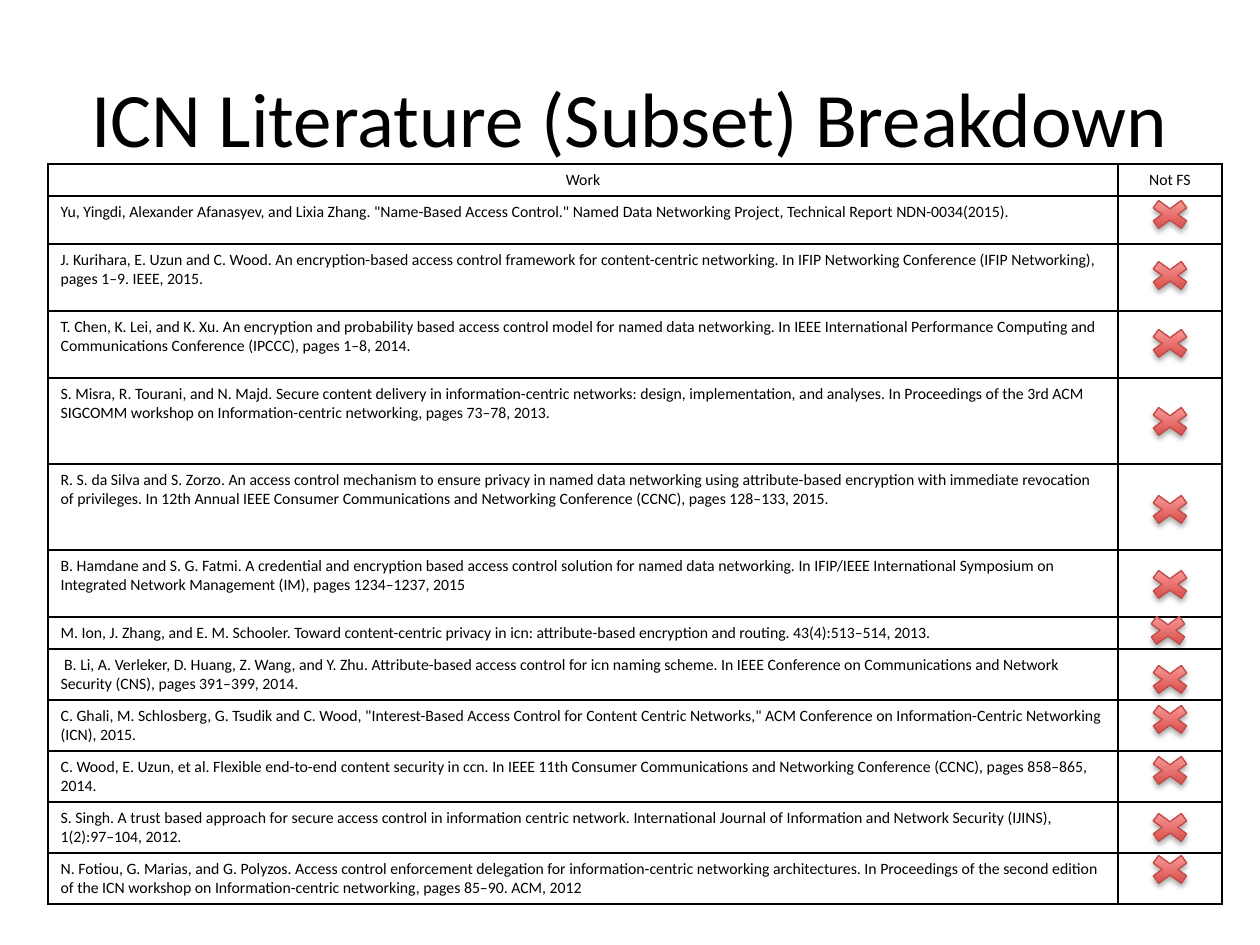
import dataclasses

import lxml.etree
import pptx
import pptx.dml.color
import pptx.enum.shapes
import pptx.enum.text
import pptx.oxml.ns
import pptx.util

EMU_PER_PX = 914400 / 126
FONT_NAME = "Calibri"
BLACK = "000000"
MARK_DARK, MARK_LIGHT, MARK_LINE = "D1403C", "FFA6A5", "BF4C48"
TABLE_LEFT, TABLE_TOP = 48, 164
COLUMN_WIDTHS = (1070, 104)
HEADER_HEIGHT = 32
MARK_LEFT, MARK_WIDTH, MARK_HEIGHT = 1143, 54, 39


@dataclasses.dataclass
class Work:
    citation: str
    row_height: int
    mark_top: int
    mark_left: int = MARK_LEFT


WORKS = [
    Work('Yu, Yingdi, Alexander Afanasyev, and Lixia Zhang. "Name-Based Access Control." Named Data '
         'Networking Project, Technical Report NDN-0034(2015).', 48, 195),
    Work("J. Kurihara, E. Uzun and C. Wood. An encryption-based access control framework for "
         "content-centric networking. In IFIP Networking Conference (IFIP Networking), pages 1–9. "
         "IEEE, 2015.", 67, 256),
    Work("T. Chen, K. Lei, and K. Xu. An encryption and probability based access control model for "
         "named data networking. In IEEE International Performance Computing and Communications "
         "Conference (IPCCC), pages 1–8, 2014.", 67, 324),
    Work("S. Misra, R. Tourani, and N. Majd. Secure content delivery in information-centric networks: "
         "design, implementation, and analyses. In Proceedings of the 3rd ACM SIGCOMM workshop on "
         "Information-centric networking, pages 73–78, 2013.", 86, 402),
    Work("R. S. da Silva and S. Zorzo. An access control mechanism to ensure privacy in named data "
         "networking using attribute-based encryption with immediate revocation of privileges. In 12th "
         "Annual IEEE Consumer Communications and Networking Conference (CCNC), pages 128–133, 2015.",
         86, 490),
    Work("B. Hamdane and S. G. Fatmi. A credential and encryption based access control solution for "
         "named data networking. In IFIP/IEEE International Symposium on Integrated Network Management "
         "(IM), pages 1234–1237, 2015", 67, 565),
    Work("M. Ion, J. Zhang, and E. M. Schooler. Toward content-centric privacy in icn: attribute-based "
         "encryption and routing. 43(4):513–514, 2013.", 32, 611, MARK_LEFT - 2),
    Work(" B. Li, A. Verleker, D. Huang, Z. Wang, and Y. Zhu. Attribute-based access control for icn "
         "naming scheme. In IEEE Conference on Communications and Network Security (CNS), pages "
         "391–399, 2014.", 51, 660),
    Work('C. Ghali, M. Schlosberg, G. Tsudik and C. Wood, "Interest-Based Access Control for Content '
         'Centric Networks," ACM Conference on Information-Centric Networking (ICN), 2015.', 51, 700),
    Work("C. Wood, E. Uzun, et al. Flexible end-to-end content security in ccn. In IEEE 11th Consumer "
         "Communications and Networking Conference (CCNC), pages 858–865, 2014.", 51, 751),
    Work("S. Singh. A trust based approach for secure access control in information centric network. "
         "International Journal of Information and Network Security (IJINS), 1(2):97–104, 2012.",
         51, 808),
    Work("N. Fotiou, G. Marias, and G. Polyzos. Access control enforcement delegation for "
         "information-centric networking architectures. In Proceedings of the second edition of the "
         "ICN workshop on Information-centric networking, pages 85–90. ACM, 2012", 51, 850),
]


def px(length: int) -> int:
    return round(length * EMU_PER_PX)


def color(value: str) -> pptx.dml.color.RGBColor:
    return pptx.dml.color.RGBColor.from_string(value)


def add_element(parent, tag: str, **attributes: str):
    element = lxml.etree.SubElement(parent, pptx.oxml.ns.qn(tag))
    for name, value in attributes.items():
        element.set(name, value)
    return element


def write_text(text_frame, text: str, size: int, alignment) -> None:
    text_frame.text = text
    paragraph = text_frame.paragraphs[0]
    paragraph.alignment = alignment
    for run in paragraph.runs:
        values = {"name": FONT_NAME, "size": pptx.util.Pt(size), "bold": False}
        for name, value in values.items():
            setattr(run.font, name, value)
        run.font.color.rgb = color(BLACK)


def add_title(slide, text: str) -> None:
    title = slide.shapes.title
    box = {"left": px(63), "top": px(38), "width": px(1134), "height": px(157)}
    for name, value in box.items():
        setattr(title, name, value)
    title.text_frame.vertical_anchor = pptx.enum.text.MSO_ANCHOR.MIDDLE
    write_text(title.text_frame, text, 44, pptx.enum.text.PP_ALIGN.CENTER)


def fill_cell(cell, text: str, alignment) -> None:
    if text:
        write_text(cell.text_frame, text, 9, alignment)
    else:
        # Keeps the height of an empty cell small
        add_element(cell.text_frame.paragraphs[0]._p, "a:endParaRPr", sz="900")
    properties = cell._tc.get_or_add_tcPr()
    for side in ("a:lnL", "a:lnR", "a:lnT", "a:lnB"):
        border = add_element(properties, side, w="12700")
        add_element(add_element(border, "a:solidFill"), "a:srgbClr", val=BLACK)
    cell.fill.background()


def add_works_table(slide) -> None:
    heights = [HEADER_HEIGHT] + [work.row_height for work in WORKS]
    table = slide.shapes.add_table(
        len(heights), len(COLUMN_WIDTHS), px(TABLE_LEFT), px(TABLE_TOP),
        px(sum(COLUMN_WIDTHS)), px(sum(heights))).table
    table.first_row = table.horz_banding = False
    for column, width in zip(table.columns, COLUMN_WIDTHS):
        column.width = px(width)
    for row, height in zip(table.rows, heights):
        row.height = px(height)
    contents = [("Work", "Not FS")] + [(work.citation, "") for work in WORKS]
    for row_index, texts in enumerate(contents):
        alignment = pptx.enum.text.PP_ALIGN.LEFT if row_index else pptx.enum.text.PP_ALIGN.CENTER
        for column_index, text in enumerate(texts):
            fill_cell(table.cell(row_index, column_index), text, alignment)


def add_mark(slide, work: Work) -> None:
    mark = slide.shapes.add_shape(
        pptx.enum.shapes.MSO_SHAPE.MATH_MULTIPLY, px(work.mark_left), px(work.mark_top),
        px(MARK_WIDTH), px(MARK_HEIGHT))
    mark.fill.gradient()
    mark.fill.gradient_angle = 90
    for stop, position, value in zip(mark.fill.gradient_stops, (0, 1), (MARK_DARK, MARK_LIGHT)):
        stop.position = position
        stop.color.rgb = color(value)
    mark.line.color.rgb = color(MARK_LINE)
    mark.line.width = pptx.util.Pt(0.75)
    # Soft shadow below the mark
    mark.shadow.inherit = False
    effects = mark._element.spPr.find(pptx.oxml.ns.qn("a:effectLst"))
    shadow = add_element(effects, "a:outerShdw", blurRad="40000", dist="23000",
                         dir="5400000", rotWithShape="0")
    add_element(add_element(shadow, "a:srgbClr", val=BLACK), "a:alpha", val="35000")


def main() -> None:
    presentation = pptx.Presentation()
    presentation.slide_width = px(1260)
    presentation.slide_height = px(945)
    slide = presentation.slides.add_slide(presentation.slide_layouts[5])
    add_title(slide, "ICN Literature (Subset) Breakdown")
    add_works_table(slide)
    for work in WORKS:
        add_mark(slide, work)
    presentation.save("out.pptx")


if __name__ == "__main__":
    main()
